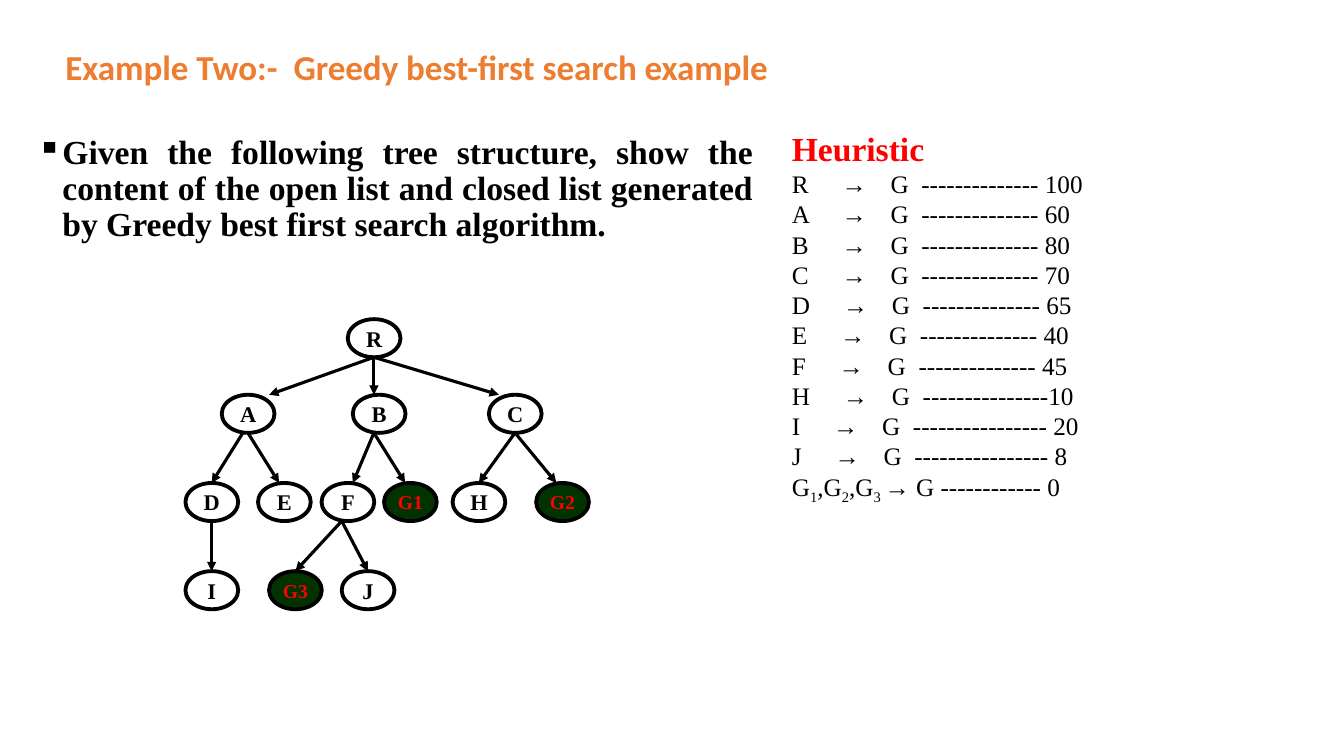
"""Build a slide with a greedy best-first search tree and its heuristic values."""
from dataclasses import dataclass

from lxml import etree
from pptx import Presentation
from pptx import util as u
from pptx.dml.color import RGBColor
from pptx.enum import shapes, text
from pptx.oxml import ns


@dataclass(frozen=True)
class Theme:
    orange: str = "ED7D31"
    black: str = "000000"
    white: str = "FFFFFF"
    red: str = "FF0000"
    green: str = "003300"
    heading: str = "Calibri"
    body: str = "Times New Roman"
    title_size: float = 25
    body_size: float = 24
    list_size: float = 18
    node_size: float = 16
    goal_size: float = 14


theme = Theme()


def add_span(para, words, size, color, bold=False, font=theme.body):
    span = para.add_run()
    span.text = words
    span.font.name = font
    span.font.size = u.Pt(size)
    span.font.bold = bold
    span.font.color.rgb = RGBColor.from_string(color)
    return span


def add_tabs(para, stops):
    tabs = etree.SubElement(para._p.get_or_add_pPr(), ns.qn("a:tabLst"))
    for stop in stops:
        etree.SubElement(tabs, ns.qn("a:tab"), pos=str(u.Pt(stop)), algn="l")


deck = Presentation()
deck.slide_width, deck.slide_height = u.Pt(960), u.Pt(540)
page = deck.slides.add_slide(deck.slide_layouts[6])

box = page.shapes.add_textbox(u.Pt(19.5), u.Pt(93), u.Pt(525.5), u.Pt(162))
box.text_frame.word_wrap = True
para = box.text_frame.paragraphs[0]
props = para._p.get_or_add_pPr()
props.set("marL", str(u.Pt(18)))
props.set("indent", str(u.Pt(-18)))
etree.SubElement(props, ns.qn("a:buChar"), char="▪")
para.alignment = text.PP_ALIGN.JUSTIFY
para.line_spacing = 0.9
add_span(para, "Given the following tree structure, show the content of the open list and "
         "closed list generated by Greedy best first search algorithm.",
         theme.body_size, theme.black, True)

box = page.shapes.add_textbox(u.Pt(39.6), u.Pt(21.6), u.Pt(749), u.Pt(52))
box.text_frame.word_wrap = True
box.text_frame.vertical_anchor = text.MSO_ANCHOR.MIDDLE
para = box.text_frame.paragraphs[0]
add_tabs(para, [163])
add_span(para, "Example Two:-\tGreedy best-first search example",
         theme.title_size, theme.orange, True, theme.heading)

node_width, node_height = 37.7, 27.2
level_tops = [228, 282, 345, 408]
levels = [
    {"R": 248.4},
    {"A": 158.4, "B": 252, "C": 349.2},
    {"D": 132.5, "E": 184.3, "F": 229.7, "G1": 274.3, "H": 323.3, "G2": 383},
    {"I": 132.5, "G3": 192.2, "J": 244.1},
]
tree = page.shapes.add_group_shape()
for top, nodes in zip(level_tops, levels):
    for name, left in nodes.items():
        goal = name.startswith("G")
        node = tree.shapes.add_shape(shapes.MSO_SHAPE.OVAL, u.Pt(left), u.Pt(top),
                                     u.Pt(node_width), u.Pt(node_height))
        node.shadow.inherit = False
        node.fill.solid()
        node.fill.fore_color.rgb = RGBColor.from_string(theme.green if goal else theme.white)
        node.line.color.rgb = RGBColor.from_string(theme.black)
        node.line.width = u.Pt(2.75)
        frame = node.text_frame
        frame.margin_left = frame.margin_top = frame.margin_right = frame.margin_bottom = 0
        frame.word_wrap = True
        frame.vertical_anchor = text.MSO_ANCHOR.MIDDLE
        para = frame.paragraphs[0]
        para.alignment = text.PP_ALIGN.CENTER
        add_span(para, name, theme.goal_size if goal else theme.node_size,
                 theme.red if goal else theme.black, True)

level_edges = [
    [(267.1, 192.2), (267.1, 267.1), (267.1, 356.4)],
    [(173.5, 151.2), (177.1, 199.4), (267.1, 252), (267.1, 289.4),
     (367.9, 342), (367.9, 397.4)],
    [(151.2, 151.2), (244.1, 211), (244.1, 262.8)],
]
for parent_top, child_top, edges in zip(level_tops, level_tops[1:], level_edges):
    for start, end in edges:
        edge = tree.shapes.add_connector(shapes.MSO_CONNECTOR.STRAIGHT, u.Pt(start),
                                         u.Pt(parent_top + node_height), u.Pt(end),
                                         u.Pt(child_top))
        edge.line.color.rgb = RGBColor.from_string(theme.black)
        edge.line.width = u.Pt(2.25)
        etree.SubElement(edge.line._get_or_add_ln(), ns.qn("a:tailEnd"), type="triangle")
        etree.SubElement(edge._element.spPr, ns.qn("a:effectLst"))

box = page.shapes.add_textbox(u.Pt(558.5), u.Pt(88), u.Pt(264), u.Pt(392))
frame = box.text_frame
frame.word_wrap = True
add_span(frame.paragraphs[0], "Heuristic", theme.body_size, theme.red, True)
heuristics = [
    ("R", 0, 14, " 100"), ("A", 0, 14, " 60"), ("B", 0, 14, " 80"), ("C", 0, 14, " 70"),
    ("D", 1, 14, " 65"), ("E", -1, 14, " 40"), ("F", -2, 14, " 45"), ("H", 1, 15, "10"),
    ("I", -6, 16, " 20"), ("J", -5, 16, " 8"),
]
for name, shift, dashes, cost in heuristics:
    para = frame.add_paragraph()
    add_tabs(para, [stop + shift for stop in (35.5, 70.5, 92.5)])
    add_span(para, f"{name}\t→\tG\t{'-' * dashes}{cost}", theme.list_size, theme.black)

para = frame.add_paragraph()
for letter, number in [("G", "1"), (",G", "2"), (",G", "3 ")]:
    add_span(para, letter, theme.list_size, theme.black)
    index = add_span(para, number, theme.list_size, theme.black)
    index._r.get_or_add_rPr().set("baseline", "-25000")
add_span(para, f"→ G {'-' * 12} 0", theme.list_size, theme.black)

deck.save("out.pptx")
